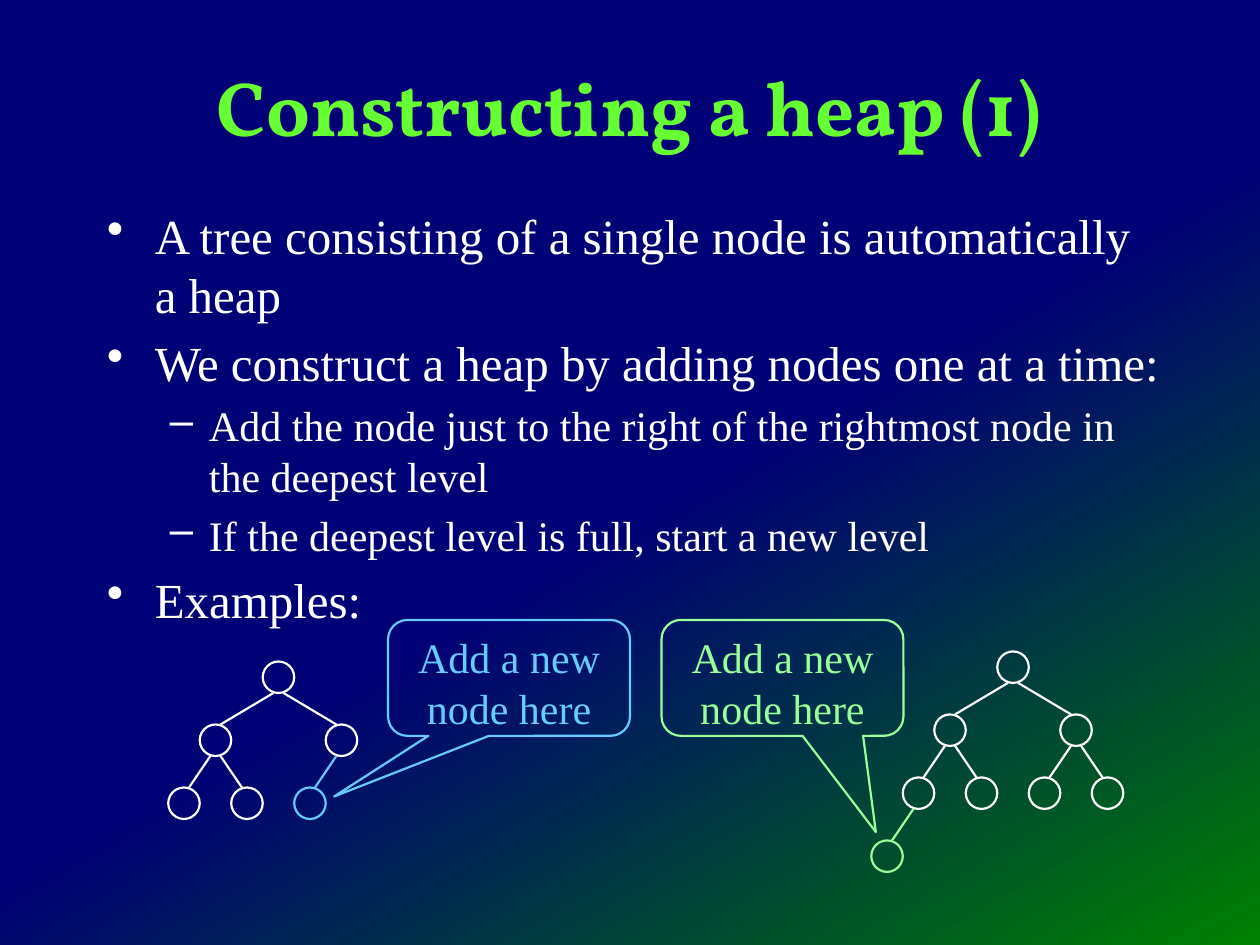
from copy import deepcopy
from dataclasses import dataclass

from lxml.etree import SubElement
from pptx import Presentation
from pptx.dml.color import RGBColor
from pptx.enum.shapes import MSO_CONNECTOR, MSO_SHAPE
from pptx.enum.text import MSO_ANCHOR, MSO_AUTO_SIZE, PP_ALIGN
from pptx.oxml.ns import qn
from pptx.util import Inches, Pt


@dataclass(frozen=True)
class Theme:
    navy: str = "000076"
    green: str = "008000"
    lime: str = "66FF33"
    white: str = "FFFFFF"
    sky: str = "66CCFF"
    mint: str = "99FF99"
    serif: str = "Times New Roman"
    display: str = "Vollkorn"
    title: int = 44
    body: int = 28
    small: int = 24
    line: float = 1.25


THEME = Theme()
NODE = 0.25     # node diameter
LEVEL = 0.5     # drop from one tree level to the next
SPREADS = (0.5, 0.25)   # sideways step from parent to child, by level
NUDGE = 0.04    # edge ends sit this far off a node's centre line

# level, text
POINTS = [
    (0, "A tree consisting of a single node is automatically a heap"),
    (0, "We construct a heap by adding nodes one at a time:"),
    (1, "Add the node just to the right of the rightmost node in the deepest level"),
    (1, "If the deepest level is full, start a new level"),
    (0, "Examples:"),
]
# bullet, left margin, hanging indent, size
LEVELS = [("•", 0.38, -0.38, THEME.body), ("–", 0.81, -0.31, THEME.small)]


def rgb(code):
    return RGBColor.from_string(code)


def write(para, text, size=THEME.small, color=THEME.white, font=THEME.serif,
          bold=False, align=PP_ALIGN.LEFT, before=0):
    para.text = text
    para.alignment = align
    para.space_before = Pt(before)
    para.font.size = Pt(size)
    para.font.name = font
    para.font.bold = bold
    para.font.color.rgb = rgb(color)


def paint(slide):
    """Fill the background with navy that turns green in the lower right."""
    fill = slide.background.fill
    fill.gradient()
    fill.gradient_angle = 300
    first, last = fill.gradient_stops
    first.color.rgb, first.position = rgb(THEME.navy), 0
    last.color.rgb, last.position = rgb(THEME.green), 1
    stops = next(slide.element.iter(qn("a:gsLst")))
    hold = deepcopy(stops[0])
    hold.set("pos", "53000")
    stops.insert(1, hold)


def head(slide, text):
    title = slide.shapes.title
    title.left, title.top = Inches(0.33), Inches(0.42)
    title.width, title.height = Inches(9.33), Inches(0.83)
    frame = title.text_frame
    frame.auto_size = MSO_AUTO_SIZE.NONE
    frame.vertical_anchor = MSO_ANCHOR.MIDDLE
    write(frame.paragraphs[0], text, size=THEME.title, color=THEME.lime,
          font=THEME.display, bold=True, align=PP_ALIGN.CENTER)


def bullets(slide, points):
    box = slide.shapes.add_textbox(Inches(0.75), Inches(1.58),
                                   Inches(8.58), Inches(3.83))
    frame = box.text_frame
    frame.word_wrap = True
    for i, (level, text) in enumerate(points):
        para = frame.add_paragraph() if i else frame.paragraphs[0]
        mark, left, hang, size = LEVELS[level]
        para.level = level
        props = para._p.get_or_add_pPr()
        props.set("marL", str(Inches(left)))
        props.set("indent", str(Inches(hang)))
        SubElement(props, qn("a:buChar")).set("char", mark)
        write(para, text, size=size, before=0.2 * size if i else 0)


def outline(group, kind, left, top, width, height, color):
    shape = group.shapes.add_shape(kind, Inches(left), Inches(top),
                                   Inches(width), Inches(height))
    shape.shadow.inherit = False
    shape.fill.background()
    shape.line.color.rgb = rgb(color)
    shape.line.width = Pt(THEME.line)
    return shape


def node(group, x, y, color):
    """Draw a node centred on x, with its top at y."""
    outline(group, MSO_SHAPE.OVAL, x - NODE / 2, y, NODE, NODE, color)


def edge(group, x, y, step, color):
    """Join the node at x, y to its child, step to the side and a level down."""
    nudge = NUDGE if step > 0 else -NUDGE
    line = group.shapes.add_connector(
        MSO_CONNECTOR.STRAIGHT,
        Inches(x + step - nudge), Inches(y + LEVEL),
        Inches(x + nudge), Inches(y + NODE))
    line.line.color.rgb = rgb(color)
    line.line.width = Pt(THEME.line)
    SubElement(line._element.spPr, qn("a:effectLst"))


def child(group, x, y, step, color):
    edge(group, x, y, step, color)
    node(group, x + step, y + LEVEL, color)


def tree(slide, x, y, full):
    """Draw a three-level tree; unless full, its right child has no leaves."""
    group = slide.shapes.add_group_shape()
    node(group, x, y, THEME.white)
    wide, near = SPREADS
    for step in (-wide, wide):
        child(group, x, y, step, THEME.white)
        if full or step < 0:
            for leaf in (-near, near):
                child(group, x + step, y + LEVEL, leaf, THEME.white)


def added(slide, x, y, left, tip, color):
    """Add a left child to the node at x, y and a callout that points to it."""
    group = slide.shapes.add_group_shape()
    child(group, x, y, -SPREADS[-1], color)
    note = outline(group, MSO_SHAPE.ROUNDED_RECTANGULAR_CALLOUT,
                   left, 4.92, 1.92, 0.92, color)
    for i, value in enumerate((*tip, 0.167)):
        note.adjustments[i] = value
    frame = note.text_frame
    frame.word_wrap = True
    frame.vertical_anchor = MSO_ANCHOR.TOP
    write(frame.paragraphs[0], "Add a new node here", color=color,
          align=PP_ALIGN.CENTER)


def main():
    deck = Presentation()
    deck.slide_width, deck.slide_height = Inches(10), Inches(7.5)
    slide = deck.slides.add_slide(deck.slide_layouts[5])
    paint(slide)
    head(slide, "Constructing a heap (1)")
    bullets(slide, POINTS)
    tree(slide, 8.04, 5.17, full=True)
    tree(slide, 2.21, 5.25, full=False)
    added(slide, 2.71, 5.75, 3.08, (-0.723, 1.023), THEME.sky)
    added(slide, 7.29, 6.17, 5.25, (0.386, 1.33), THEME.mint)
    deck.save("out.pptx")


if __name__ == "__main__":
    main()
